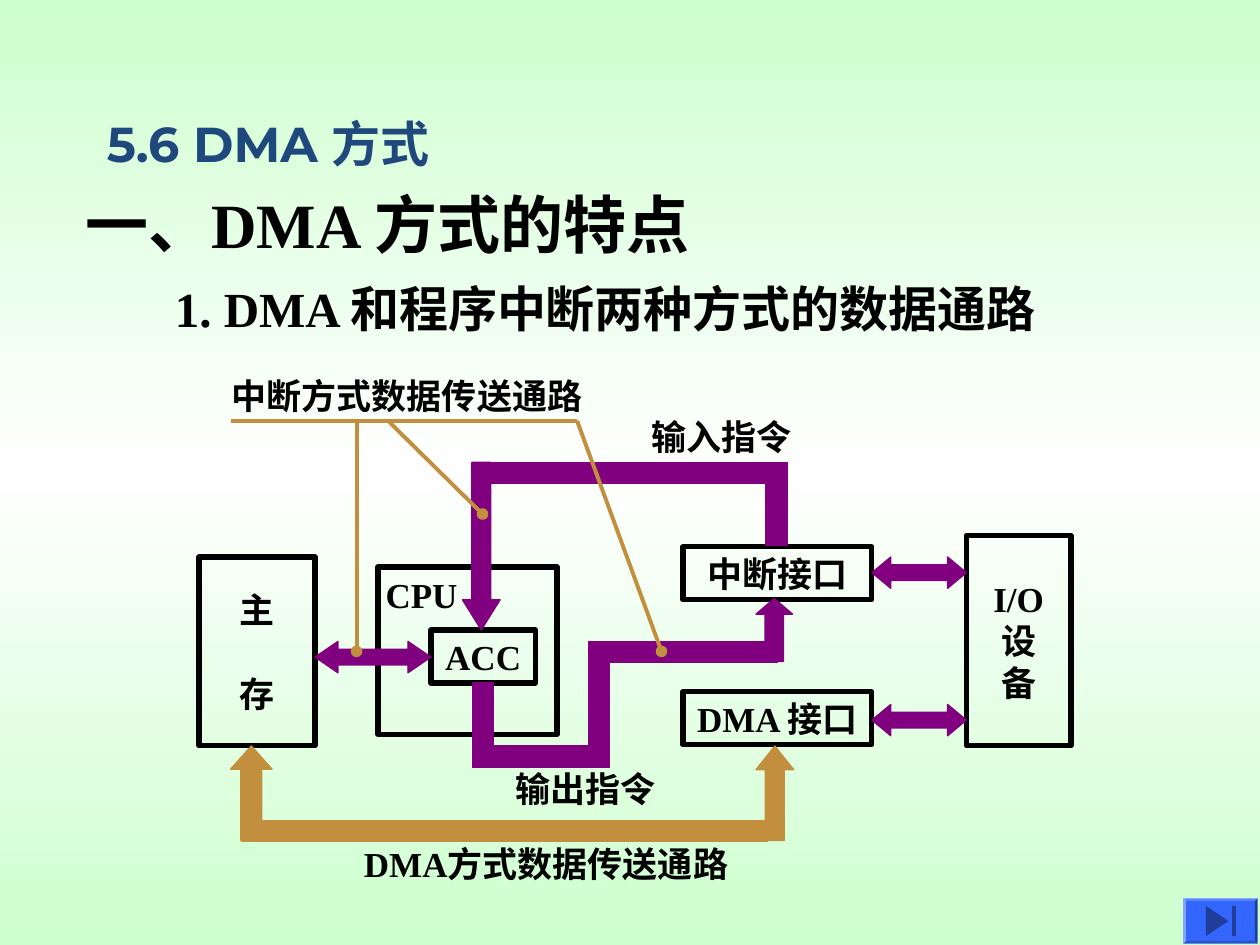
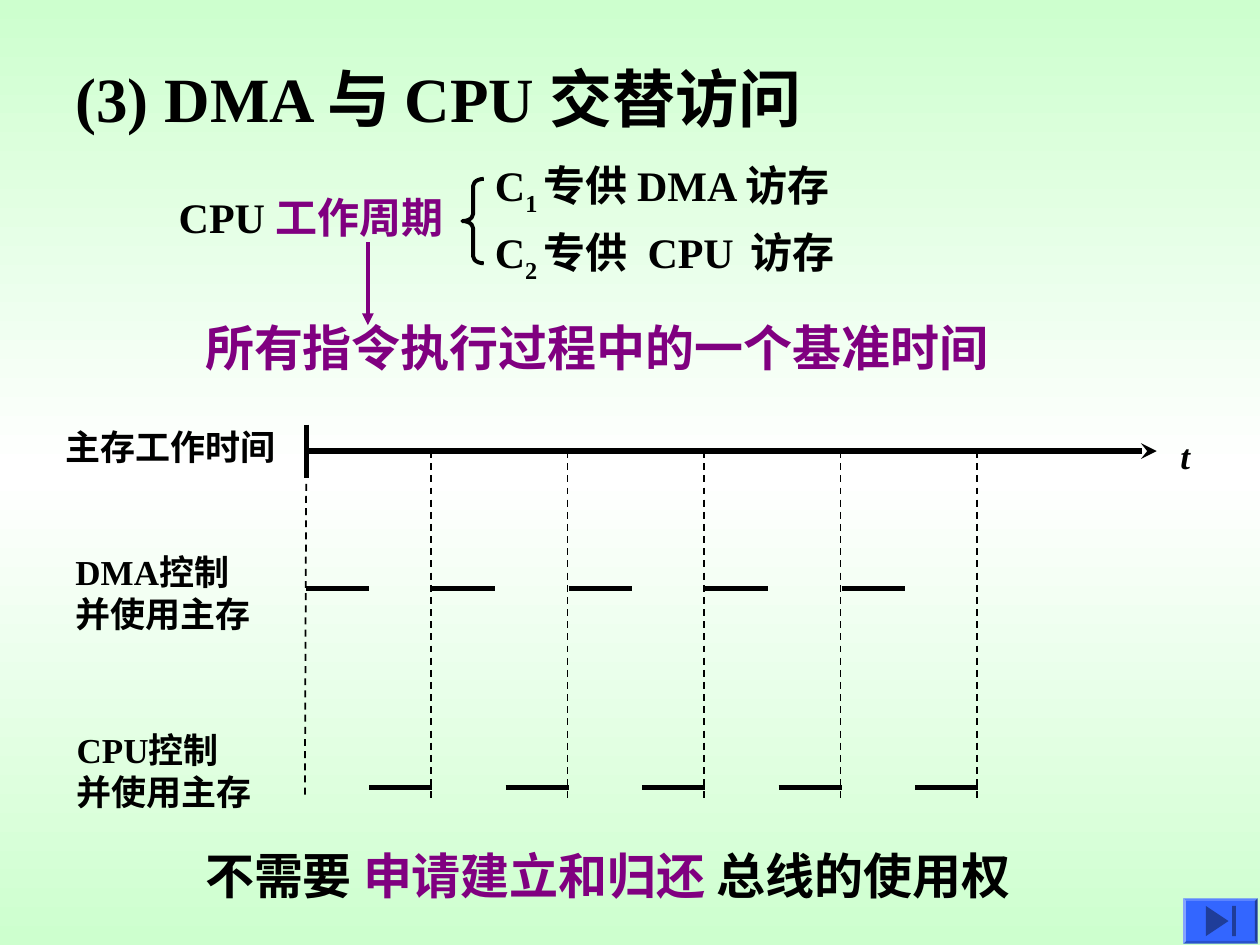
from copy import deepcopy
from dataclasses import dataclass

from lxml import etree
from pptx import Presentation
from pptx.dml.color import RGBColor
from pptx.enum import dml, lang, shapes, text
from pptx.oxml.ns import qn
from pptx.util import Inches, Pt

COLORS = {
    "mint": "CDFFCE",
    "white": "FFFFFF",
    "black": "000000",
    "navy": "1F497D",
    "purple": "800080",
    "gold": "C28F3E",
    "button": "3366FF",
    "button icon": "1F3D99",
}
BODY_FONT = "Times New Roman"
TITLE_FONT = "Montserrat"
SHAPE = shapes.MSO_SHAPE


def rgb(name):
    return RGBColor.from_string(COLORS[name])


def write(paragraph, runs, size, color="black", font=BODY_FONT, italic=False):
    """Fill a paragraph from a string or from (text, options) pairs."""
    if isinstance(runs, str):
        runs = [(runs, {})]
    for content, options in runs:
        run = paragraph.add_run()
        run.text = content
        run.font.name = font
        run.font.size = Pt(size)
        run.font.bold = True
        run.font.italic = italic
        run.font.color.rgb = rgb(options.get("color", color))
        run.font.language_id = lang.MSO_LANGUAGE_ID.SIMPLIFIED_CHINESE
        properties = run._r.get_or_add_rPr()
        if "baseline" in options:
            properties.set("baseline", str(options["baseline"] * 1000))
        if "spacing" in options:
            properties.set("spc", str(int(options["spacing"] * 100)))


@dataclass
class Region:
    """A part of a slide; its parts are placed from its left top corner."""
    slide: object
    left: float = 0
    top: float = 0

    def place(self, left, top):
        return Inches(self.left + left), Inches(self.top + top)

    def text(self, box, paragraphs, size=20, wrap=False,
             anchor=text.MSO_ANCHOR.TOP, **style):
        left, top, width, height = box
        shape = self.slide.shapes.add_textbox(
            *self.place(left, top), Inches(width), Inches(height))
        frame = shape.text_frame
        frame.word_wrap = wrap
        frame.vertical_anchor = anchor
        for index, runs in enumerate(paragraphs):
            paragraph = frame.add_paragraph() if index else frame.paragraphs[0]
            write(paragraph, runs, size, **style)

    def shape(self, kind, box, fill=None, line=None, weight=0.75, adjust=()):
        left, top, width, height = box
        shape = self.slide.shapes.add_shape(
            kind, *self.place(left, top), Inches(width), Inches(height))
        shape.shadow.inherit = False
        if fill:
            shape.fill.solid()
            shape.fill.fore_color.rgb = rgb(fill)
        else:
            shape.fill.background()
        if line:
            shape.line.color.rgb = rgb(line)
            shape.line.width = Pt(weight)
        else:
            shape.line.fill.background()
        for index, value in enumerate(adjust):
            shape.adjustments[index] = value
        return shape

    def line(self, start, end, color="black", weight=3, dashed=False, tail=None):
        connector = self.slide.shapes.add_connector(
            shapes.MSO_CONNECTOR.STRAIGHT, *self.place(*start), *self.place(*end))
        connector.line.color.rgb = rgb(color)
        connector.line.width = Pt(weight)
        if dashed:
            connector.line.dash_style = dml.MSO_LINE.DASH
        if tail:
            outline = connector.line._get_or_add_ln()
            etree.SubElement(outline, qn("a:tailEnd")).set("type", tail)
        etree.SubElement(connector._element.spPr, qn("a:effectLst"))


def add_slide(presentation):
    """Add a blank slide with the shared gradient."""
    slide = presentation.slides.add_slide(presentation.slide_layouts[6])
    fill = slide.background.fill
    fill.gradient()
    fill.gradient_angle = 90
    stop_list = next(slide._element.iter(qn("a:gsLst")))
    stop_list.append(deepcopy(stop_list[-1]))
    for stop, position, color in zip(
            fill.gradient_stops, (0, 0.5, 1), ("mint", "white", "mint")):
        stop.position = position
        stop.color.rgb = rgb(color)
    return slide


def add_next_button(slide):
    button = Region(slide, 9.39, 7.13)
    button.shape(SHAPE.BEVEL, (0, 0, 0.59, 0.36), "button", adjust=[0.06])
    triangle = button.shape(SHAPE.ISOSCELES_TRIANGLE, (0.15, 0.09, 0.24, 0.18),
                            "button icon")
    triangle.rotation = 90
    button.shape(SHAPE.RECTANGLE, (0.39, 0.06, 0.03, 0.24), "button icon")


def add_unit(region, box, lines, corner=False, gap=0):
    """Draw a hardware unit as a framed box with its name."""
    frame = region.shape(SHAPE.RECTANGLE, box, line="black", weight=3).text_frame
    frame.word_wrap = False
    frame.margin_left = frame.margin_right = Inches(0.06)
    frame.vertical_anchor = (text.MSO_ANCHOR.TOP if corner
                             else text.MSO_ANCHOR.MIDDLE)
    if corner:
        frame.word_wrap = True
    for index, name in enumerate(lines):
        paragraph = frame.add_paragraph() if index else frame.paragraphs[0]
        paragraph.alignment = text.PP_ALIGN.LEFT if corner else text.PP_ALIGN.CENTER
        if index:
            paragraph.space_before = Pt(gap)
        write(paragraph, name, 20)


def add_data_paths(slide, left, top):
    region = Region(slide, left, top)
    add_unit(region, (1.5, 1.5, 1.42, 1.33), ["CPU"], corner=True)
    add_unit(region, (0.08, 1.42, 0.92, 1.5), ["主", "存"], gap=24)
    add_unit(region, (1.92, 2, 0.83, 0.42), ["ACC"])
    add_unit(region, (3.92, 1.34, 1.5, 0.42), ["中断接口"])
    add_unit(region, (3.92, 2.49, 1.5, 0.42), ["DMA 接口"])
    add_unit(region, (6.17, 1.25, 0.83, 1.67), ["I/O", "设", "备"])

    bar, up, down, both = (SHAPE.RECTANGLE, SHAPE.UP_ARROW, SHAPE.DOWN_ARROW,
                           SHAPE.LEFT_RIGHT_ARROW)
    path_pieces = {
        "purple": [
            (bar, (2.25, 2.42, 0.17, 0.58), None),
            (bar, (2.25, 2.92, 1, 0.17), None),
            (bar, (3.17, 2.17, 0.17, 0.92), None),
            (bar, (3.17, 2.09, 1.5, 0.17), None),
            (up, (4.5, 1.75, 0.29, 0.5), 0.43),
            (bar, (4.58, 0.75, 0.17, 0.58), None),
            (bar, (2.25, 0.67, 2.5, 0.17), None),
            (down, (2.17, 0.67, 0.3, 1.33), 0.8),
            (both, (1, 2.09, 0.92, 0.25), 0.73),
            (both, (5.42, 1.42, 0.75, 0.25), 0.6),
            (both, (5.42, 2.59, 0.75, 0.25), 0.6),
        ],
        "gold": [
            (up, (0.33, 2.92, 0.33, 0.75), 0.56),
            (bar, (0.42, 3.51, 4.17, 0.17), None),
            (up, (4.5, 2.92, 0.3, 0.75), 0.63),
        ],
    }
    for color, pieces in path_pieces.items():
        for kind, box, head in pieces:
            region.shape(kind, box, color, color,
                         adjust=(0.5, head) if head else ())

    rule = 0.34
    region.line((0.33, rule), (3.08, rule), "gold", 2.25)
    for start, end in ((1.33, (1.33, 2.17)), (1.58, (2.33, 1.08)),
                       (3.08, (3.75, 2.17))):
        region.line((start, rule), end, "gold", 2.25, tail="oval")

    for x, y, width, label in (
            (0.24, -0.08, 2.98, "中断方式数据传送通路"),
            (3.57, 0.25, 1.31, "输入指令"),
            (2.49, 3.04, 1.31, "输出指令"),
            (1.29, 3.64, 3.16, "DMA方式数据传送通路")):
        region.text((x, y, width, 0.44), [label])


def add_cycle_definition(slide, left, top):
    region = Region(slide, left, top)
    region.text((0, 0.25, 2.52, 0.5),
                [[("CPU ", {}), ("工作周期", {"color": "purple"})]], 24, wrap=True)
    subscript = {"baseline": -25}
    region.text((2.51, 0, 4.42, 0.56),
                [[("C", {}), ("1 ", subscript), ("专供 DMA 访存", {})]],
                24, wrap=True)
    region.text((2.51, 0.53, 3.83, 0.56),
                [[("C", {}), ("2 ", subscript), ("专供", {}),
                  (" ", {"spacing": 6}), ("CPU", {}), (" ", {"spacing": 3.5}),
                  ("访存", {})]], 24, wrap=True)
    region.shape(SHAPE.LEFT_BRACE, (2.35, 0.2, 0.17, 0.67), line="black",
                 weight=2.25, adjust=(0.33, 0.5))
    region.text((0.21, 1.25, 7.6, 0.57), ["所有指令执行过程中的一个基准时间"],
                28, wrap=True, color="purple")
    region.line((1.6, 0.7), (1.6, 1.36), "purple", 2.25, tail="triangle")


def add_timing(slide, left, top):
    region = Region(slide, left, top)
    origin, axis, dma_level, cpu_level, half = 2.03, 0.28, 1.37, 2.95, 0.5
    region.text((0.02, 0.03, 1.87, 0.44), ["主存工作时间"])
    region.text((0.1, 1.02, 1.59, 0.77), ["DMA控制", "并使用主存"])
    region.text((0.11, 2.43, 1.59, 0.77), ["CPU控制", "并使用主存"])
    region.text((8.87, 0.1, 0.27, 0.44), ["t"], italic=True)
    region.line((origin, axis - 0.21), (origin, axis + 0.21))
    region.line((origin, axis), (8.78, axis), tail="stealth")
    region.line((origin, 0.54), (origin - 0.01, 3.02), weight=1, dashed=True)

    cycle_ends = [3.02 + cycle * 13 / 12 for cycle in range(5)]
    dma_starts = [origin] + [end + 0.01 for end in cycle_ends[:-1]]
    for start, end in zip(dma_starts, cycle_ends):
        region.line((start, dma_level), (start + half, dma_level))
        region.line((end + 0.01 - half, cpu_level), (end + 0.01, cpu_level))
        region.line((end, axis), (end, 3.04), weight=1, dashed=True)


def build_data_path_slide(presentation):
    slide = add_slide(presentation)
    page = Region(slide)
    page.text((0.75, 0.17, 8.5, 1.25), ["5.6 DMA 方式"], 28, wrap=True,
              anchor=text.MSO_ANCHOR.BOTTOM, color="navy", font=TITLE_FONT)
    page.text((0.58, 1.42, 5.58, 0.7), ["一、DMA 方式的特点"], 36, wrap=True)
    page.text((1.29, 2.16, 7.14, 0.57), ["1. DMA 和程序中断两种方式的数据通路"], 28)
    add_data_paths(slide, 1.5, 3)
    add_next_button(slide)


def build_alternate_access_slide(presentation):
    slide = add_slide(presentation)
    page = Region(slide)
    page.text((0.5, 0.42, 6.92, 0.7), ["(3) DMA 与 CPU 交替访问"], 36, wrap=True)
    add_timing(slide, 0.4, 3.3)
    add_cycle_definition(slide, 1.32, 1.22)
    page.text((1.53, 6.66, 8.03, 0.57),
              [[("不需要 ", {}), ("申请建立和归还 ", {"color": "purple"}),
                ("总线的使用权", {})]], 28, wrap=True)
    add_next_button(slide)


def main():
    presentation = Presentation()
    presentation.slide_width = Inches(10)
    presentation.slide_height = Inches(7.5)
    build_data_path_slide(presentation)
    build_alternate_access_slide(presentation)
    presentation.save("out.pptx")


if __name__ == "__main__":
    main()
